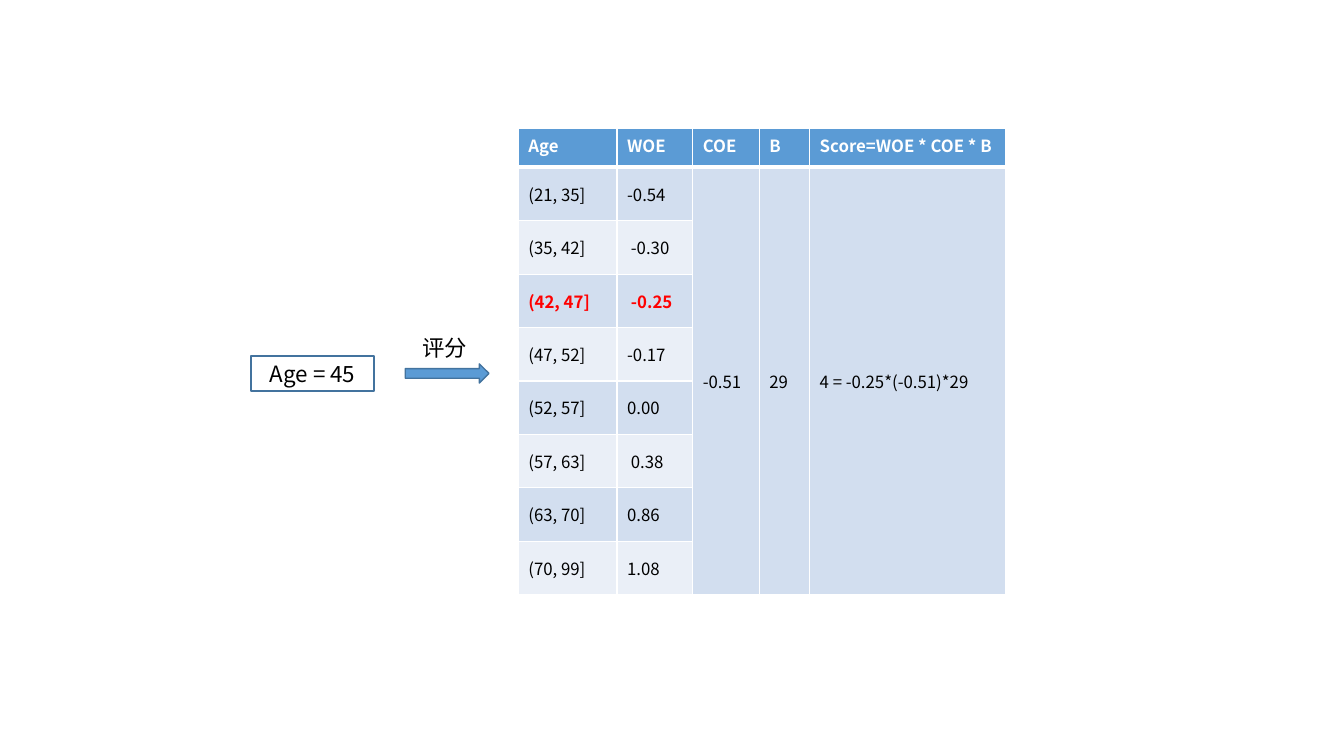
import pptx
import pptx.util
import pptx.dml.color
import pptx.enum.shapes
import pptx.enum.text
import pptx.oxml
import pptx.oxml.ns
import lxml.etree

Inches = pptx.util.Inches
Pt = pptx.util.Pt
RGBColor = pptx.dml.color.RGBColor
SHAPES = pptx.enum.shapes.MSO_SHAPE
ANCHOR = pptx.enum.text.MSO_ANCHOR
ALIGN = pptx.enum.text.PP_ALIGN
qn = pptx.oxml.ns.qn

FONT = "Noto Sans CJK SC"
BLACK = RGBColor(0x00, 0x00, 0x00)
WHITE = RGBColor(0xFF, 0xFF, 0xFF)
RED = RGBColor(0xFF, 0x00, 0x00)
BLUE = RGBColor(0x5B, 0x9B, 0xD5)
OUTLINE = RGBColor(0x43, 0x73, 0x9E)
BANDS = (RGBColor(0xEA, 0xEF, 0xF7), RGBColor(0xD2, 0xDE, 0xEF))

HEADINGS = ("Age", "WOE", "COE", "B", "Score=WOE * COE * B")
COLUMN_WIDTHS = (0.98, 0.75, 0.66, 0.5, 1.94)
AGE_BINS = (
    ("(21, 35]", "-0.54"),
    ("(35, 42]", " -0.30"),
    ("(42, 47]", " -0.25"),
    ("(47, 52]", "-0.17"),
    ("(52, 57]", "0.00"),
    ("(57, 63]", " 0.38"),
    ("(63, 70]", "0.86"),
    ("(70, 99]", "1.08"),
)
SHARED_VALUES = ("-0.51", "29", "4 = -0.25*(-0.51)*29")
MATCHING_ROW = 3


def write_text(frame, text, size, color=BLACK, bold=False, align=None):
    paragraph = frame.paragraphs[0]
    paragraph.alignment = align
    run = paragraph.add_run()
    run.text = text
    run.font.size = Pt(size)
    run.font.bold = bold
    run.font.name = FONT
    run.font.color.rgb = color
    latin = run.font._element.find(qn("a:latin"))
    east_asian = pptx.oxml.parse_xml(
        f'<a:ea {pptx.oxml.ns.nsdecls("a")} typeface="{FONT}"/>')
    latin.addnext(east_asian)


def add_outlined_shape(slide, preset, left, top, width, height, fill=None):
    shape = slide.shapes.add_shape(
        preset, Inches(left), Inches(top), Inches(width), Inches(height))
    shape.shadow.inherit = False
    if fill is None:
        shape.fill.background()
    else:
        shape.fill.solid()
        shape.fill.fore_color.rgb = fill
    shape.line.color.rgb = OUTLINE
    shape.line.width = Pt(1)
    return shape


def add_label(slide, text, left, top, width, height):
    label = slide.shapes.add_textbox(
        Inches(left), Inches(top), Inches(width), Inches(height))
    label.text_frame.word_wrap = True
    write_text(label.text_frame, text, 16)


def set_borders(cell, top=1, bottom=1):
    properties = cell._tc.get_or_add_tcPr()
    widths = {"lnL": 1, "lnR": 1, "lnT": top, "lnB": bottom}
    for position, (side, width) in enumerate(widths.items()):
        border = lxml.etree.Element(qn(f"a:{side}"), w=str(Pt(width)))
        fill = lxml.etree.SubElement(border, qn("a:solidFill"))
        lxml.etree.SubElement(fill, qn("a:srgbClr"), val=str(WHITE))
        properties.insert(position, border)


def style_cell(cell, row):
    cell.fill.solid()
    cell.fill.fore_color.rgb = BANDS[row % 2] if row else BLUE
    if row:
        cell.vertical_anchor = ANCHOR.MIDDLE
    set_borders(cell, top=3 if row == 1 else 1, bottom=1 if row else 3)


def add_score_table(slide):
    row_count = len(AGE_BINS) + 1
    table = slide.shapes.add_table(
        row_count, len(HEADINGS), Inches(5.14), Inches(1.27),
        Inches(sum(COLUMN_WIDTHS)), Inches(4.63)).table
    for column, width in zip(table.columns, COLUMN_WIDTHS):
        column.width = Inches(width)
    for index, row in enumerate(table.rows):
        row.height = Inches(0.53 if index else 0.39)
        for cell in row.cells:
            style_cell(cell, index)
    for column, heading in enumerate(HEADINGS):
        write_text(table.cell(0, column).text_frame, heading, 12, WHITE, True)
    for row, values in enumerate(AGE_BINS, start=1):
        matching = row == MATCHING_ROW
        for column, value in enumerate(values):
            write_text(table.cell(row, column).text_frame, value, 12,
                       RED if matching else BLACK, matching)
    for column, value in enumerate(SHARED_VALUES, start=2):
        shared = table.cell(1, column)
        shared.merge(table.cell(row_count - 1, column))
        write_text(shared.text_frame, value, 12)


def add_age_box(slide):
    age_box = add_outlined_shape(slide, SHAPES.RECTANGLE, 2.49, 3.53, 1.22, 0.35)
    age_box.text_frame.vertical_anchor = ANCHOR.MIDDLE
    write_text(age_box.text_frame, "Age = 45", 16, align=ALIGN.CENTER)


def main():
    presentation = pptx.Presentation()
    presentation.slide_width = Inches(13.33)
    presentation.slide_height = Inches(7.5)
    slide = presentation.slides.add_slide(presentation.slide_layouts[6])
    add_outlined_shape(slide, SHAPES.RIGHT_ARROW, 4.02, 3.61, 0.83, 0.19, BLUE)
    add_label(slide, "评分", 4.09, 3.27, 0.7, 0.37)
    add_score_table(slide)
    add_age_box(slide)
    presentation.save("out.pptx")


if __name__ == "__main__":
    main()
